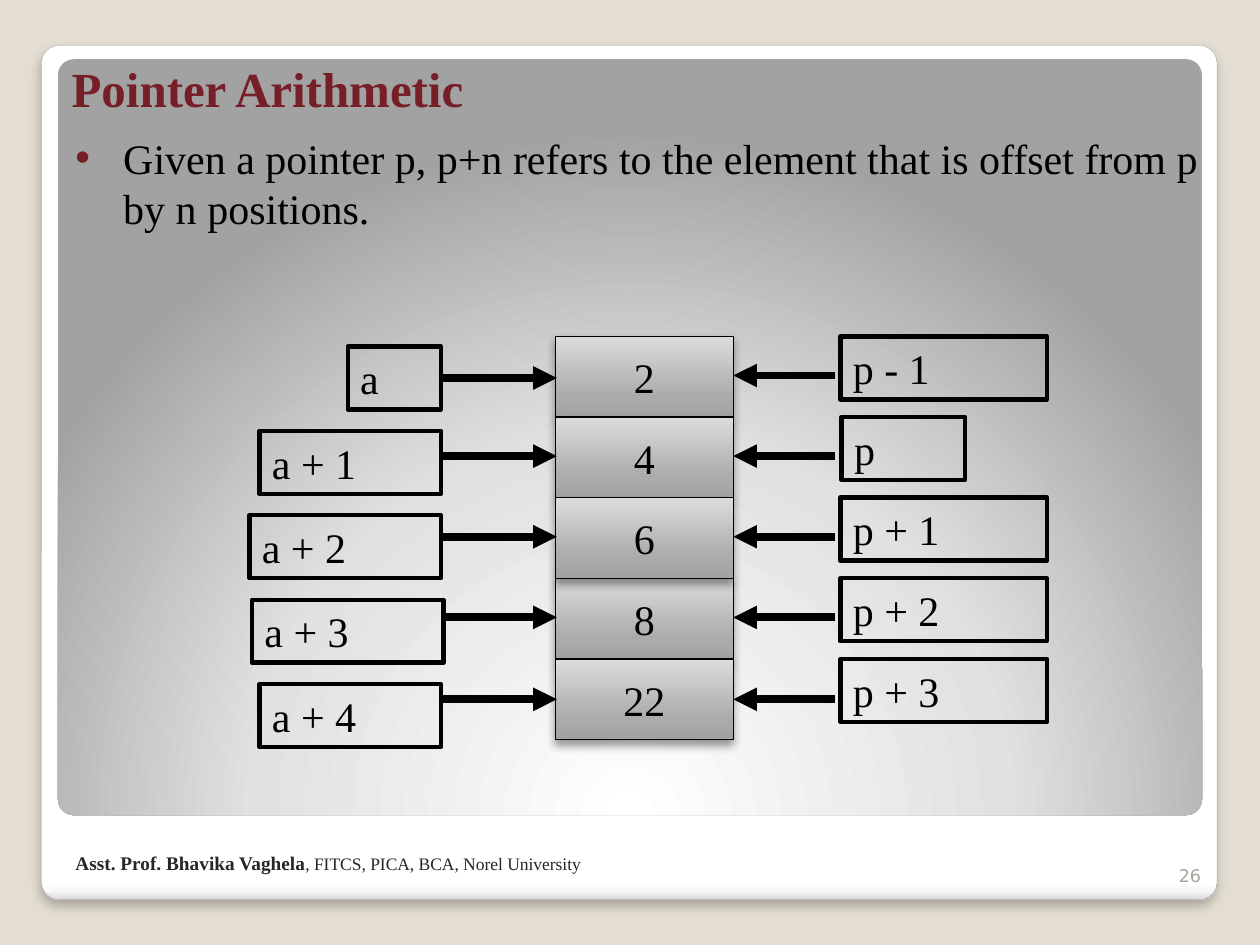
from pptx import Presentation
from pptx.dml.color import RGBColor
from pptx.enum.shapes import MSO_CONNECTOR as CONN, MSO_SHAPE as SHAPE
from pptx.enum.text import MSO_ANCHOR as ANCHOR, MSO_AUTO_SIZE as AUTO, PP_ALIGN as ALIGN
from pptx.oxml import parse_xml
from pptx.oxml.ns import nsdecls
from pptx.util import Inches, Pt

COLORS = {
    "bg": "E3DED1", "accent": "771F28", "ink": "000000", "frame": "A4A4A4",
    "footer": "262626", "number": "A8A49B",
}
SERIF, SANS = "Times New Roman", "DejaVu Sans"

# Gradients: stops as (percent, colour), then the direction element
FRAME_FILL = ([(0, "FFFFFF"), (98, "FFFFFF"), (99, "F7F7F7"), (100, "DADADA")],
              '<a:lin ang="5400000" scaled="0"/>')
PANEL_FILL = ([(0, "FFFFFF"), (55, "E1E1E1"), (100, "A2A2A2")],
              '<a:path path="circle"><a:fillToRect l="50000" t="175000" '
              'r="50000" b="-75000"/></a:path>')
CELL_FILL = ([(0, "A2A2A2"), (25, "ABABAB"), (100, "DCDCDC")],
             '<a:lin ang="16200000" scaled="0"/>')


def rgb(name):
    return RGBColor.from_string(COLORS[name])


def xml(tag, attrs="", inner=""):
    return parse_xml(f'<a:{tag} {nsdecls("a")} {attrs}>{inner}</a:{tag}>')


class Deck:
    def __init__(self, prs):
        self.slide = prs.slides.add_slide(prs.slide_layouts[6])
        self.shapes = self.slide.shapes
        fill = self.slide.background.fill
        fill.solid()
        fill.fore_color.rgb = rgb("bg")

    def shape(self, kind, box, grad=None, line=None, shadow=None):
        """line is (colour, points); shadow is (opacity %, blur, distance)."""
        sp = self.shapes.add_shape(kind, *map(Inches, box))
        sp.shadow.inherit = False
        props = sp._element.spPr
        if line:
            sp.line.color.rgb = rgb(line[0])
            sp.line.width = Pt(line[1])
        else:
            sp.line.fill.background()
        if grad:
            stops, direction = grad
            inner = "".join(f'<a:gs pos="{pos * 1000}"><a:srgbClr val="{c}"/></a:gs>'
                            for pos, c in stops)
            props.insert(2, xml("gradFill", 'rotWithShape="1"',
                                f"<a:gsLst>{inner}</a:gsLst>{direction}"))
        else:
            sp.fill.background()
        if shadow:
            alpha, blur, dist = shadow
            props.find("{*}effectLst").append(xml(
                "outerShdw", f'blurRad="{Pt(blur)}" dist="{Pt(dist)}" '
                'dir="5400000" rotWithShape="0"',
                f'<a:srgbClr val="000000"><a:alpha val="{alpha * 1000}"/></a:srgbClr>'))
        return sp

    def panel(self, box, grad, **style):
        sp = self.shape(SHAPE.ROUNDED_RECTANGLE, box, grad, **style)
        sp.adjustments[0] = 0.021

    def add_runs(self, sp, runs, anchor=ANCHOR.TOP, align=ALIGN.LEFT, wrap=True):
        """Each run is (text, size, colour, bold, font)."""
        tf = sp.text_frame
        tf.word_wrap = wrap
        tf.vertical_anchor = anchor
        p = tf.paragraphs[0]
        p.alignment = align
        for text, size, color, bold, font in runs:
            r = p.add_run()
            r.text = text
            r.font.size = Pt(size)
            r.font.bold = bold
            r.font.name = font
            r.font.color.rgb = rgb(color)
        return p

    def text(self, box, runs, **style):
        return self.add_runs(self.shapes.add_textbox(*map(Inches, box)), runs, **style)

    def bullet(self, box, runs):
        props = self.text(box, runs)._p.get_or_add_pPr()
        props.set("marL", str(Inches(0.38)))
        props.set("indent", str(-Inches(0.38)))
        props.append(xml("buClr", inner=f'<a:srgbClr val="{COLORS["accent"]}"/>'))
        props.append(xml("buFont", 'typeface="Arial"'))
        props.append(xml("buChar", 'char="•"'))

    def cell(self, box, value):
        sp = self.shape(SHAPE.RECTANGLE, box, CELL_FILL, ("ink", 0.75), (40, 5.2, 3))
        self.add_runs(sp, [(value, 24, "ink", False, SERIF)],
                      ANCHOR.MIDDLE, ALIGN.CENTER, wrap=False)

    def label(self, box, text):
        sp = self.shape(SHAPE.RECTANGLE, box, line=("ink", 2.5))
        self.add_runs(sp, [(text, 24, "ink", False, SERIF)])
        sp.text_frame.auto_size = AUTO.SHAPE_TO_FIT_TEXT

    def arrow(self, x1, x2, y):
        cn = self.shapes.add_connector(
            CONN.STRAIGHT, Inches(x1), Inches(y), Inches(x2), Inches(y))
        cn.line.color.rgb = rgb("ink")
        cn.line.width = Pt(4.5)
        props = cn._element.spPr
        props.find("{*}ln").append(xml("tailEnd", 'type="triangle"'))
        props.append(xml("effectLst"))


def main():
    prs = Presentation()
    prs.slide_width, prs.slide_height = Inches(10), Inches(7.5)
    deck = Deck(prs)

    # Frame and panel
    deck.panel((0.33, 0.36, 9.33, 6.78), FRAME_FILL,
               line=("frame", 0.16), shadow=(25, 6, 4))
    deck.panel((0.46, 0.47, 9.08, 6), PANEL_FILL)

    # Title and statement
    deck.text((0.47, 0, 8.95, 0.98),
              [("Pointer Arithmetic", 28, "accent", True, SERIF)], anchor=ANCHOR.BOTTOM)
    deck.bullet((0.5, 1, 9.17, 5.62),
                [("Given a pointer p, p+n refers to the element that is offset "
                  "from p by n positions.", 24, "ink", False, SERIF)])

    # Array cells; the third lies over the fourth
    values = ["2", "4", "6", "8", "22"]
    for i in (0, 1, 3, 2, 4):
        deck.cell((4.41, 2.67 + 0.64 * i, 1.41, 0.64), values[i])

    # Labels: (text, left, width) for the array name and for the pointer
    array_labels = [("a", 2.76, 0.74), ("a + 1", 2.06, 1.44), ("a + 2", 1.98, 1.52),
                    ("a + 3", 2, 1.52), ("a + 4", 2.06, 1.44)]
    pointer_labels = [("p - 1", 6.67, 1.64), ("p", 6.68, 0.98), ("p + 1", 6.67, 1.64),
                      ("p + 2", 6.67, 1.64), ("p + 3", 6.67, 1.64)]
    for labels, top, pitch in ((array_labels, 2.75, 0.67), (pointer_labels, 2.67, 0.64)):
        for i, (text, left, width) in enumerate(labels):
            deck.label((left, top + pitch * i, width, 0.5), text)

    # Arrows from the labels to the cells
    for x1, x2, first in ((3.51, 4.42, 3), (6.63, 5.82, 2.98)):
        for y in (first, 3.62, 4.26, 4.9, 5.55):
            deck.arrow(x1, x2, y)

    # Slide number and footer
    deck.text((9.13, 6.68, 0.5, 0.4), [("26", 10, "number", False, SANS)],
              anchor=ANCHOR.BOTTOM, align=ALIGN.RIGHT)
    deck.text((0.5, 6.67, 4.58, 0.32),
              [("Asst. Prof. Bhavika Vaghela", 11, "footer", True, SERIF),
               (", FITCS, PICA, BCA, Norel University", 10, "footer", False, SERIF)],
              anchor=ANCHOR.BOTTOM)

    prs.save("out.pptx")


if __name__ == "__main__":
    main()
